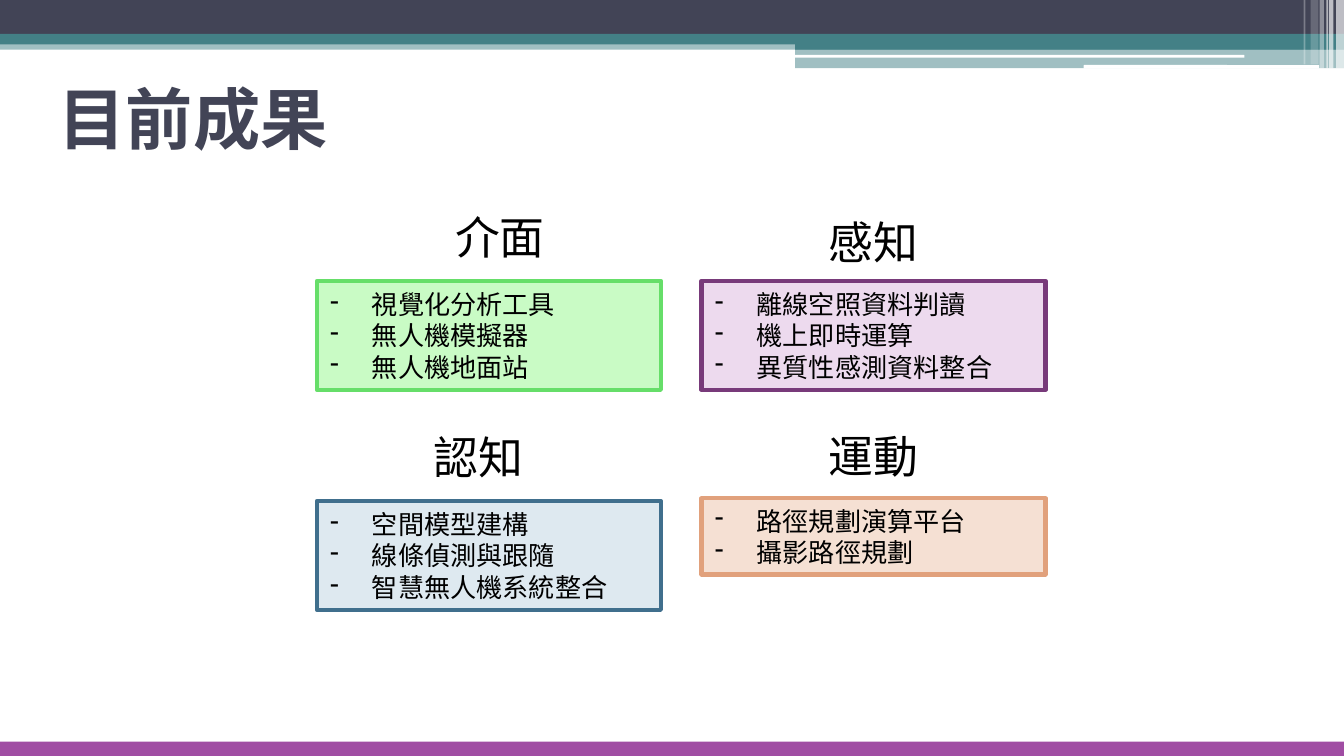
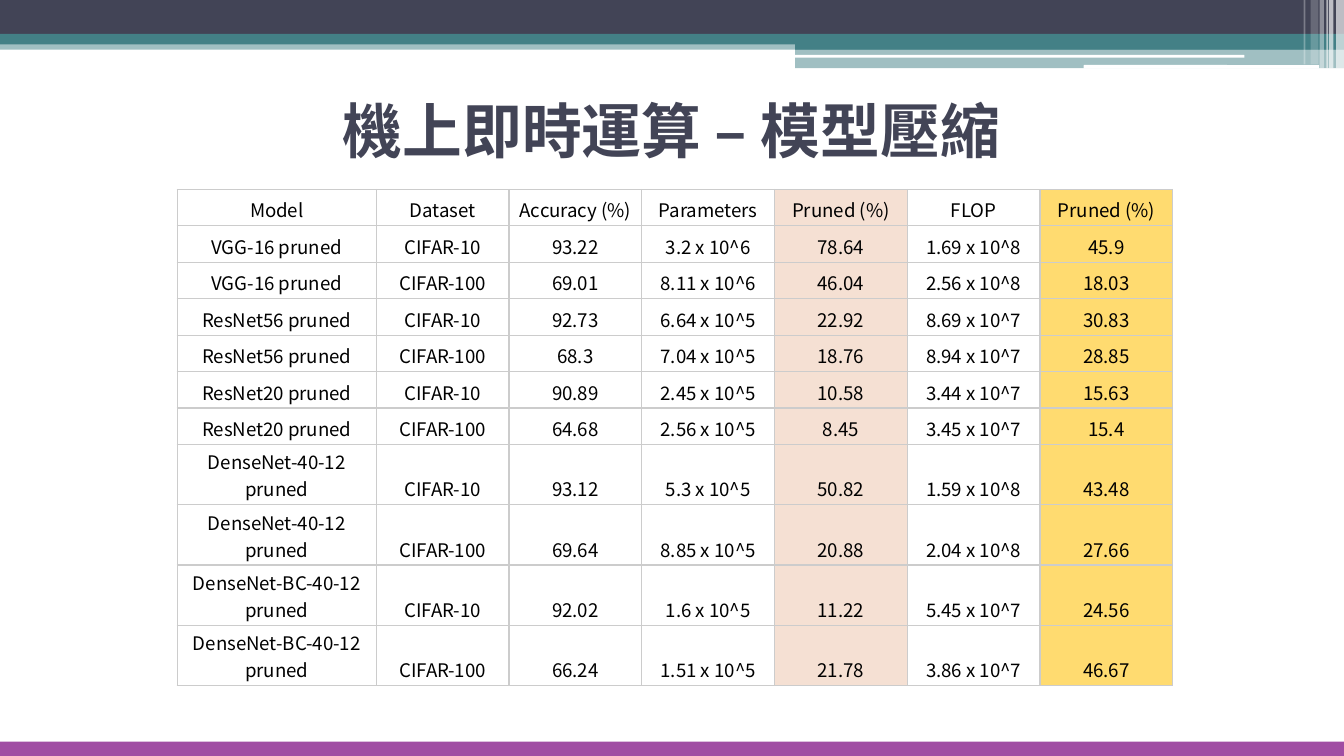
from dataclasses import dataclass

import pptx
import pptx.dml.color
import pptx.enum.shapes
import pptx.enum.text
import pptx.oxml
import pptx.oxml.ns
import pptx.slide
import pptx.text.text
import pptx.util
from lxml import etree

Cm = pptx.util.Cm
Pt = pptx.util.Pt
qn = pptx.oxml.ns.qn
RGB = pptx.dml.color.RGBColor.from_string
Preset = pptx.enum.shapes.MSO_SHAPE
Align = pptx.enum.text.PP_ALIGN
Anchor = pptx.enum.text.MSO_ANCHOR
AutoSize = pptx.enum.text.MSO_AUTO_SIZE


@dataclass(frozen=True)
class Theme:
    font: str = "Noto Sans CJK TC"
    navy: str = "424456"
    teal: str = "438086"
    purple: str = "A04DA3"
    white: str = "FFFFFF"
    black: str = "000000"
    grid: str = "CCCCCC"
    peach: str = "F5E0D3"
    amber: str = "FFC000"
    title_size: int = 36
    long_title_size: int = 32
    heading_size: int = 24
    card_size: int = 14
    table_size: int = 10


THEME = Theme()


@dataclass(frozen=True)
class Band:
    """A plain decoration; lengths in cm, opacity in percent."""
    left: float
    top: float
    width: float
    height: float
    color: str
    opacity: int = 100
    preset: Preset = Preset.RECTANGLE


@dataclass(frozen=True)
class Topic:
    """A heading above a card of short points; lengths in cm."""
    heading: str
    heading_left: float
    heading_top: float
    card_left: float
    card_top: float
    fill: str
    border: str
    points: tuple[str, ...]
    heading_width: float = 2.24


# Bands shared by every slide
SLIDE_WIDTH, SLIDE_HEIGHT = 25.4, 14.29
BANDS = [
    Band(0, 0.76, SLIDE_WIDTH, 0.18, THEME.teal, 50),
    Band(0, 0, SLIDE_WIDTH, 0.64, THEME.navy),
    Band(0, 0.64, SLIDE_WIDTH, 0.2, THEME.teal),
    Band(15.03, 0.76, 10.37, 0.18, THEME.teal),
    Band(15.03, 0.92, 10.37, 0.37, THEME.teal, 50),
    Band(15.01, 1.04, 8.51, 0.05, THEME.white, preset=Preset.ROUNDED_RECTANGLE),
    Band(20.48, 1.23, 4.45, 0.07, THEME.white, preset=Preset.ROUNDED_RECTANGLE),
    *(Band(left, 0, width, height, THEME.white, opacity)
      for left, width, height, opacity in (
          (25.25, 0.15, 1.3, 65), (25.12, 0.08, 1.3, 65), (25.07, 0.03, 1.3, 60),
          (24.94, 0.08, 1.3, 40), (24.77, 0.15, 1.22, 20), (24.64, 0.03, 1.22, 30))),
    Band(0, 14.02, SLIDE_WIDTH, 0.27, THEME.purple),
]

# Topics of the results slide
LEFT_CARD, RIGHT_CARD, CARD_WIDTH = 5.99, 13.26, 6.5
CARD_PADDING, POINT_HEIGHT = 0.2, 0.62
TOPICS = [
    Topic("感知", 15.39, 3.94, RIGHT_CARD, 5.31, "EDDAEE", "783A7A",
          ("離線空照資料判讀", "機上即時運算", "異質性感測資料整合")),
    Topic("運動", 15.14, 7.98, RIGHT_CARD, 9.42, THEME.peach, "E1A17C",
          ("路徑規劃演算平台", "攝影路徑規劃"), heading_width=2.72),
    Topic("認知", 7.92, 8.0, LEFT_CARD, 9.47, "DEE9F0", "406F8D",
          ("空間模型建構", "線條偵測與跟隨", "智慧無人機系統整合")),
    Topic("介面", 8.33, 3.84, LEFT_CARD, 5.31, "C9FBC5", "66DE69",
          ("視覺化分析工具", "無人機模擬器", "無人機地面站")),
]

# Figures of the compression slide
PRUNING_HEADER = ("Model", "Dataset", "Accuracy (%)", "Parameters",
                  "Pruned (%)", "FLOP", "Pruned (%)")
PRUNING_RESULTS = [
    ("VGG-16 pruned", "CIFAR-10", "93.22", "3.2 x 10^6", "78.64", "1.69 x 10^8", "45.9"),
    ("VGG-16 pruned", "CIFAR-100", "69.01", "8.11 x 10^6", "46.04", "2.56 x 10^8", "18.03"),
    ("ResNet56 pruned", "CIFAR-10", "92.73", "6.64 x 10^5", "22.92", "8.69 x 10^7", "30.83"),
    ("ResNet56 pruned", "CIFAR-100", "68.3", "7.04 x 10^5", "18.76", "8.94 x 10^7", "28.85"),
    ("ResNet20 pruned", "CIFAR-10", "90.89", "2.45 x 10^5", "10.58", "3.44 x 10^7", "15.63"),
    ("ResNet20 pruned", "CIFAR-100", "64.68", "2.56 x 10^5", "8.45", "3.45 x 10^7", "15.4"),
    ("DenseNet-40-12\npruned", "CIFAR-10", "93.12", "5.3 x 10^5", "50.82", "1.59 x 10^8", "43.48"),
    ("DenseNet-40-12\npruned", "CIFAR-100", "69.64", "8.85 x 10^5", "20.88", "2.04 x 10^8", "27.66"),
    ("DenseNet-BC-40-12\npruned", "CIFAR-10", "92.02", "1.6 x 10^5", "11.22", "5.45 x 10^7", "24.56"),
    ("DenseNet-BC-40-12\npruned", "CIFAR-100", "66.24", "1.51 x 10^5", "21.78", "3.86 x 10^7", "46.67"),
]
COLUMN_WIDTHS = [3.76] + [2.51] * 6
ONE_LINE_ROW, TWO_LINE_ROW = 0.69, 1.14
HIGHLIGHTS = {4: (THEME.peach, 100), 6: (THEME.amber, 56)}


def set_opacity(properties: etree.ElementBase, percent: int) -> None:
    """Make the solid fill held by these properties translucent."""
    if percent < 100:
        color = properties.find(f"{qn('a:solidFill')}/{qn('a:srgbClr')}")
        etree.SubElement(color, qn("a:alpha"), val=str(percent * 1000))


def style_text(frame: pptx.text.text.TextFrame, size: int, align: Align,
               color: str = THEME.black, bold: bool = False) -> None:
    for paragraph in frame.paragraphs:
        paragraph.alignment = align
        for run in paragraph.runs:
            run.font.name = THEME.font
            run.font.size = Pt(size)
            run.font.bold = bold
            run.font.color.rgb = RGB(color)
            east_asian = etree.Element(qn("a:ea"), typeface=THEME.font)
            run.font._element.find(qn("a:latin")).addnext(east_asian)


def add_dash(paragraph: pptx.text.text._Paragraph) -> None:
    properties = paragraph._p.get_or_add_pPr()
    indent = int(Cm(0.79))
    properties.set("marL", str(indent))
    properties.set("indent", str(-indent))
    dash_color = etree.SubElement(properties, qn("a:buClr"))
    etree.SubElement(dash_color, qn("a:srgbClr"), val=THEME.black)
    etree.SubElement(properties, qn("a:buChar"), char="-")


def add_band(slide: pptx.slide.Slide, band: Band) -> None:
    shape = slide.shapes.add_shape(band.preset, Cm(band.left), Cm(band.top),
                                   Cm(band.width), Cm(band.height))
    shape.shadow.inherit = False
    shape.fill.solid()
    shape.fill.fore_color.rgb = RGB(band.color)
    shape.line.fill.background()
    set_opacity(shape.element.spPr, band.opacity)


def add_base_slide(deck: pptx.presentation.Presentation, title: str, top: float,
                   size: int, align: Align) -> pptx.slide.Slide:
    """Add a slide with the shared bands and a title."""
    slide = deck.slides.add_slide(deck.slide_layouts[6])
    for band in BANDS:
        add_band(slide, band)
    frame = slide.shapes.add_textbox(Cm(0.86), Cm(top), Cm(23.67), Cm(1.96)).text_frame
    frame.word_wrap = True
    frame.vertical_anchor = Anchor.MIDDLE
    frame.text = title
    style_text(frame, size, align, THEME.navy, bold=True)
    return slide


def add_card(slide: pptx.slide.Slide, topic: Topic) -> None:
    height = CARD_PADDING + POINT_HEIGHT * len(topic.points)
    card = slide.shapes.add_shape(Preset.RECTANGLE, Cm(topic.card_left),
                                  Cm(topic.card_top), Cm(CARD_WIDTH), Cm(height))
    card.shadow.inherit = False
    card.fill.solid()
    card.fill.fore_color.rgb = RGB(topic.fill)
    card.line.color.rgb = RGB(topic.border)
    card.line.width = Pt(2.25)
    frame = card.text_frame
    frame.word_wrap = True
    frame.auto_size = AutoSize.SHAPE_TO_FIT_TEXT
    frame.text = "\n".join(topic.points)
    for paragraph in frame.paragraphs:
        add_dash(paragraph)
    style_text(frame, THEME.card_size, Align.LEFT)


def add_heading(slide: pptx.slide.Slide, topic: Topic) -> None:
    heading = slide.shapes.add_textbox(Cm(topic.heading_left), Cm(topic.heading_top),
                                       Cm(topic.heading_width), Cm(1.28))
    frame = heading.text_frame
    frame.word_wrap = False
    frame.text = topic.heading
    style_text(frame, THEME.heading_size, Align.CENTER)


def add_borders(cell_properties: etree.ElementBase) -> None:
    """Put a thin line on each side of a table cell, ahead of its fill."""
    for position, side in enumerate(("lnL", "lnR", "lnT", "lnB")):
        border = etree.Element(qn(f"a:{side}"), w=str(int(Pt(0.75))))
        fill = etree.SubElement(border, qn("a:solidFill"))
        etree.SubElement(fill, qn("a:srgbClr"), val=THEME.grid)
        cell_properties.insert(position, border)


def add_pruning_table(slide: pptx.slide.Slide) -> None:
    rows = [PRUNING_HEADER, *PRUNING_RESULTS]
    heights = [TWO_LINE_ROW if "\n" in row[0] else ONE_LINE_ROW for row in rows]
    table = slide.shapes.add_table(len(rows), len(COLUMN_WIDTHS), Cm(3.35), Cm(3.58),
                                   Cm(sum(COLUMN_WIDTHS)), Cm(sum(heights))).table
    table.first_row = table.horz_banding = False
    for column, width in zip(table.columns, COLUMN_WIDTHS):
        column.width = Cm(width)
    for row_index, (row, height) in enumerate(zip(rows, heights)):
        table.rows[row_index].height = Cm(height)
        for column_index, value in enumerate(row):
            cell = table.cell(row_index, column_index)
            cell.text_frame.text = value
            cell.vertical_anchor = Anchor.BOTTOM
            cell.margin_left = cell.margin_right = Cm(0.08)
            cell.margin_top = cell.margin_bottom = Cm(0.05)
            style_text(cell.text_frame, THEME.table_size, Align.CENTER)
            color, opacity = HIGHLIGHTS.get(column_index, (THEME.white, 100))
            cell.fill.solid()
            cell.fill.fore_color.rgb = RGB(color)
            cell_properties = cell._tc.get_or_add_tcPr()
            set_opacity(cell_properties, opacity)
            add_borders(cell_properties)


def main() -> None:
    deck = pptx.Presentation()
    deck.slide_width, deck.slide_height = Cm(SLIDE_WIDTH), Cm(SLIDE_HEIGHT)

    # Current results
    results = add_base_slide(deck, "目前成果", 1.24, THEME.title_size, Align.LEFT)
    for topic in TOPICS:
        add_card(results, topic)
    for topic in TOPICS:
        add_heading(results, topic)

    # Model compression
    compression = add_base_slide(deck, "機上即時運算 – 模型壓縮", 1.47,
                                 THEME.long_title_size, Align.CENTER)
    add_pruning_table(compression)

    deck.save("out.pptx")


if __name__ == "__main__":
    main()
